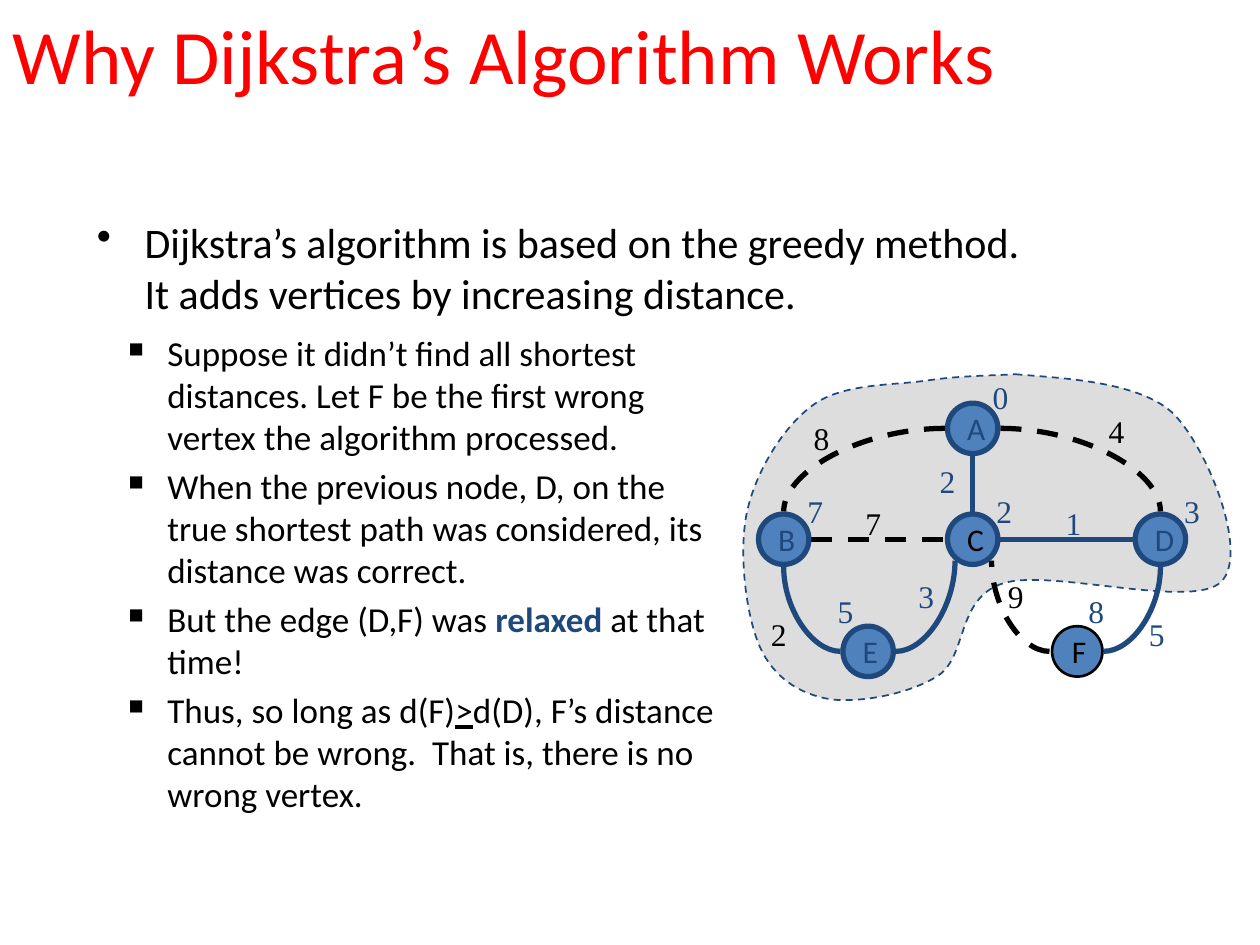
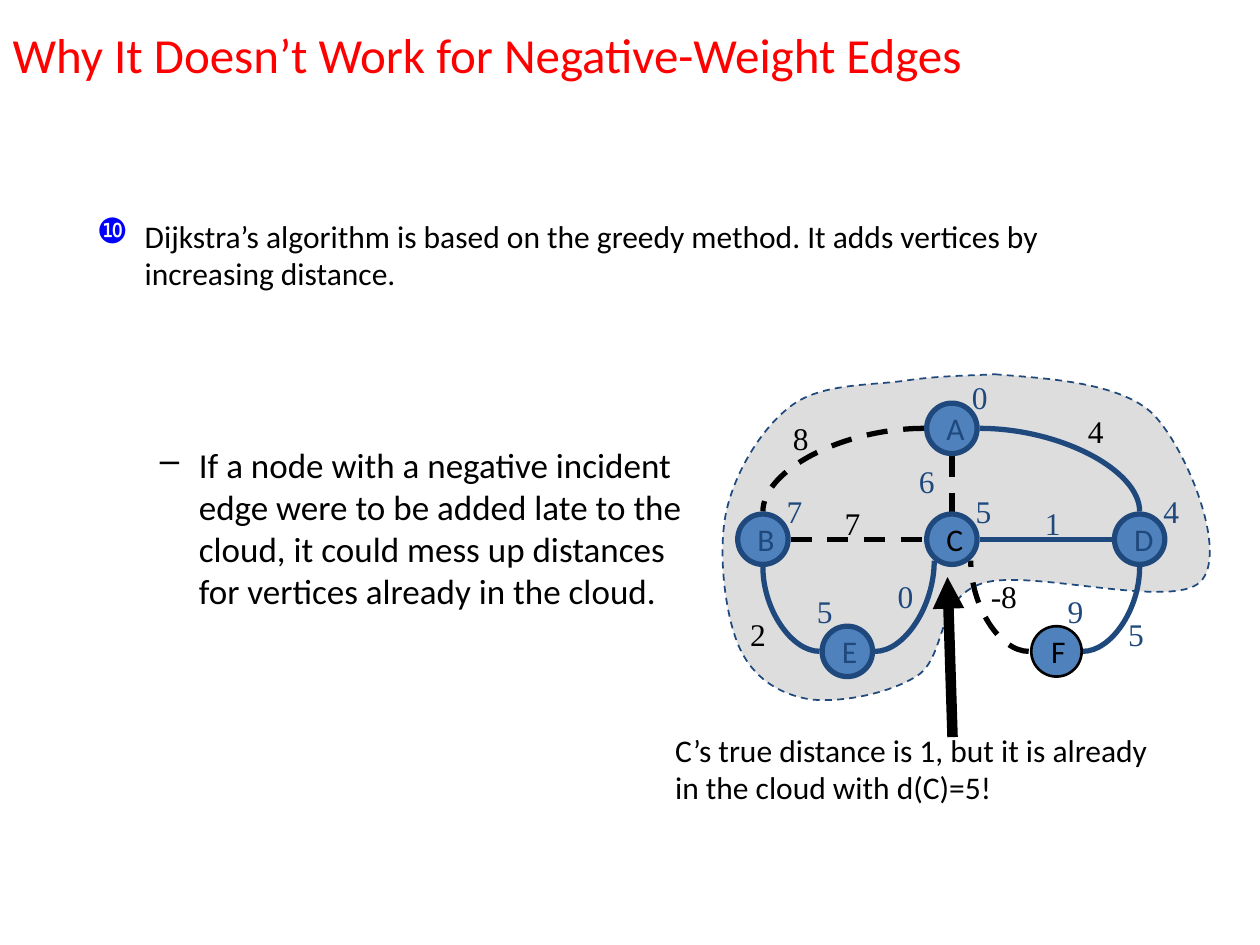
import pptx
import pptx.util
import pptx.dml.color
import pptx.enum.dml
import pptx.enum.shapes
import pptx.enum.text
import pptx.oxml.ns
from lxml import etree

Pt = pptx.util.Pt
RGB = pptx.dml.color.RGBColor
qn = pptx.oxml.ns.qn
DASH = pptx.enum.dml.MSO_LINE.DASH
KIND = pptx.enum.shapes.MSO_CONNECTOR
OVAL = pptx.enum.shapes.MSO_SHAPE.OVAL
MID = pptx.enum.text.MSO_ANCHOR.MIDDLE
LEFT = pptx.enum.text.PP_ALIGN.LEFT
GROW = pptx.enum.text.MSO_AUTO_SIZE.SHAPE_TO_FIT_TEXT

RED = RGB(0xFF, 0, 0)
NAVY = RGB(0x1F, 0x49, 0x7D)
BLUE = RGB(0x4F, 0x81, 0xBD)
GRAY = RGB(0xDD, 0xDD, 0xDD)
BLACK = RGB(0, 0, 0)

deck = pptx.Presentation()
deck.slide_width = pptx.util.Inches(10)
deck.slide_height = pptx.util.Inches(7.5)
UNIT = deck.slide_width // 1000


def cells(*spans):
    return [int(span * UNIT) for span in spans]


def write(shape, paras, size, color=BLACK, face="Calibri", wrap=True, mark=None):
    frame = shape.text_frame
    frame.word_wrap = wrap
    for row, runs in enumerate(paras):
        para = frame.add_paragraph() if row else frame.paragraphs[0]
        para.alignment = LEFT
        for text, extra in runs:
            run = para.add_run()
            run.text = text
            look = {"size": Pt(size), "name": face, "color": color, **extra}
            run.font.color.rgb = look.pop("color")
            for key, value in look.items():
                setattr(run.font, key, value)
        if mark:
            para.level = mark["level"]
            para.space_before = Pt(size * 0.2)
            props = para._p.get_or_add_pPr()
            left, hang = cells(mark["left"], mark["hang"])
            props.set("marL", str(left))
            props.set("indent", str(-hang))
            if "tint" in mark:
                tint = etree.SubElement(props, qn("a:buClr"))
                etree.SubElement(tint, qn("a:srgbClr"), val=mark["tint"])
                etree.SubElement(props, qn("a:buSzPct"), val=mark["share"])
            etree.SubElement(props, qn("a:buChar"), char=mark["char"])


DOT = {"char": "•", "level": 0, "left": 38, "hang": 38}
TEN = {**DOT, "char": "❿", "tint": "0000FF", "share": "110000"}
EN = {"char": "–", "level": 1, "left": 81, "hang": 31}
BOX = {**EN, "char": "■", "tint": "000000", "share": "60000"}

GREEDY = [[("Dijkstra’s algorithm is based on the greedy method. "
            "It adds vertices by increasing distance.", {})]]
PROOF = [
    [("Suppose it didn’t find all shortest distances. Let F be the first "
      "wrong vertex the algorithm processed.", {})],
    [("When the previous node, D, on the true shortest path was considered, "
      "its distance was correct.", {})],
    [("But the edge (D,F) was ", {}), ("relaxed", {"bold": True, "color": NAVY}),
     (" at that time!", {})],
    [("Thus, so long as d(F)", {}), (">", {"underline": True}),
     ("d(D), F’s distance cannot be wrong.  That is, there is no wrong vertex.", {})],
]
LATE = [[("If a node with a negative incident edge were to be added late to the "
          "cloud, it could mess up distances for vertices already in the cloud.", {})]]
NOTE = [[("C’s true distance is 1, but it is already in the cloud with d(C)=5!", {})]]

CLOUD = [
    (839, 300), (905, 302), (932, 329), (959, 357), (992, 440), (969, 462),
    (946, 484), (833, 451), (796, 463), (759, 475), (768, 520), (745, 536),
    (722, 551), (682, 558), (659, 555), (635, 551), (614, 538), (603, 513),
    (592, 488), (586, 438), (593, 406), (600, 374), (622, 338), (646, 321),
    (670, 304), (709, 306), (736, 302), (762, 298), (792, 298), (806, 297),
]
TOP, MIDDLE, LOW = 340, 428, 517
NODES = {"A": (772, TOP), "B": (622, MIDDLE), "C": (772, MIDDLE),
         "D": (921, MIDDLE), "E": (689, LOW), "F": (855, LOW)}
RAD, GAP = 20, 22
EDGES = {
    "AB": (750, TOP, 622, MIDDLE - GAP),
    "AD": (794, TOP, 921, MIDDLE - GAP),
    "EB": (667, LOW, 622, MIDDLE + GAP),
    "EC": (711, LOW, 758, 445),
    "FC": (833, LOW, 787, 445),
    "FD": (876, LOW, 921, MIDDLE + GAP),
    "AC": (772, TOP + GAP, 772, MIDDLE - GAP),
    "BC": (644, MIDDLE, 750, MIDDLE),
    "CD": (794, MIDDLE, 899, MIDDLE),
}
SPOTS = {
    "A": (778, 295), "B": (631, 386), "C": (781, 386), "D": (930, 386),
    "E": (655, 465), "F": (854, 465), "AB": (636, 328), "AD": (870, 322),
    "EB": (602, 483), "EC": (719, 453), "FC": (790, 453), "FD": (902, 483),
    "AC": (736, 362), "BC": (677, 395), "CD": (836, 395),
}
DARK = {"AB", "AD", "EB", "BC", "FC"}

PAGES = [
    {"title": "Why Dijkstra’s Algorithm Works", "size": 44, "shift": 0,
     "dash": {"AB", "AD", "BC", "FC"},
     "tags": "0 7 2 3 5 8 8 4 2 3 9 5 2 7 1",
     "texts": [((67, 167, 767, 128), GREEDY, 24, DOT),
               ((42, 258, 536, 427), PROOF, 20, BOX)]},
    {"title": "Why It Doesn’t Work for Negative-Weight Edges", "size": 28,
     "shift": -16.5, "dash": {"AB", "AC", "BC", "FC"},
     "tags": "0 7 5 4 5 9 8 4 2 0 -8 5 6 7 1",
     "texts": [((67, 347, 502, 270), LATE, 20, EN),
               ((67, 167, 771, 128), GREEDY, 18, TEN),
               ((526, 575, 407, 130), NOTE, 18, None)],
     "arrow": (756, 585, 752, 458)},
]

for page in PAGES:
    slide = deck.slides.add_slide(deck.slide_layouts[5])
    shapes = slide.shapes
    shift = page["shift"]
    title = shapes.title
    title.left, title.top, title.width, title.height = cells(0, -20, 900, 125)
    title.text_frame.vertical_anchor = MID
    write(title, [[(page["title"], {})]], page["size"], RED)

    pen = shapes.build_freeform(806, 297, scale=UNIT)
    pen.add_line_segments(CLOUD, close=True)
    cloud = pen.convert_to_shape(*cells(shift, 0))
    cloud.shadow.inherit = False
    cloud.fill.solid()
    cloud.fill.fore_color.rgb = GRAY
    cloud.line.color.rgb = NAVY
    cloud.line.width = Pt(1)
    cloud.line.dash_style = DASH
    sides = list(cloud._element.iter(qn("a:lnTo")))
    for first in range(0, len(CLOUD), 3):
        curve = etree.Element(qn("a:cubicBezTo"))
        sides[first].addprevious(curve)
        for side in sides[first:first + 3]:
            curve.append(side[0])
            side.getparent().remove(side)

    links = [(*ends, 3, name in page["dash"]) for name, ends in EDGES.items()]
    if "arrow" in page:
        x, y, end, foot = page["arrow"]
        links.append((x - shift, y, end - shift, foot, 6, False))
    for x, y, end, foot, width, dashed in links:
        bent = width == 3 and x != end and y != foot
        link = shapes.add_connector(KIND.CURVE if bent else KIND.STRAIGHT,
                                    *cells(x + shift, y, end + shift, foot))
        props = link._element.spPr
        if bent:
            props.find(qn("a:prstGeom")).set("prst", "curvedConnector2")
        link.line.color.rgb = BLACK if dashed or width == 6 else NAVY
        link.line.width = Pt(width)
        if dashed:
            link.line.dash_style = DASH
        if width == 6:
            etree.SubElement(link.line._get_or_add_ln(), qn("a:tailEnd"), type="triangle")
        etree.SubElement(props, qn("a:effectLst"))

    for name, (x, y) in NODES.items():
        node = shapes.add_shape(OVAL, *cells(x - RAD + shift, y - RAD, 2 * RAD, 2 * RAD))
        node.shadow.inherit = False
        node.fill.solid()
        node.fill.fore_color.rgb = BLUE
        node.line.color.rgb = BLACK if name == "F" else NAVY
        node.line.width = Pt(1.5 if name == "F" else 3)
        node.text_frame.vertical_anchor = MID
        write(node, [[(name, {})]], 18, BLACK if name in "CF" else NAVY, wrap=False)

    for (name, (x, y)), tag in zip(SPOTS.items(), page["tags"].split()):
        more = len(tag) - 1
        label = shapes.add_textbox(*cells(x + shift + 3 * more, y, 33 + 8 * more, 40))
        label.text_frame.auto_size = GROW
        write(label, [[(tag, {})]], 18, BLACK if name in DARK else NAVY,
              "Times New Roman", False)

    for place, paras, size, mark in page["texts"]:
        write(shapes.add_textbox(*cells(*place)), paras, size, mark=mark)

deck.save("out.pptx")
